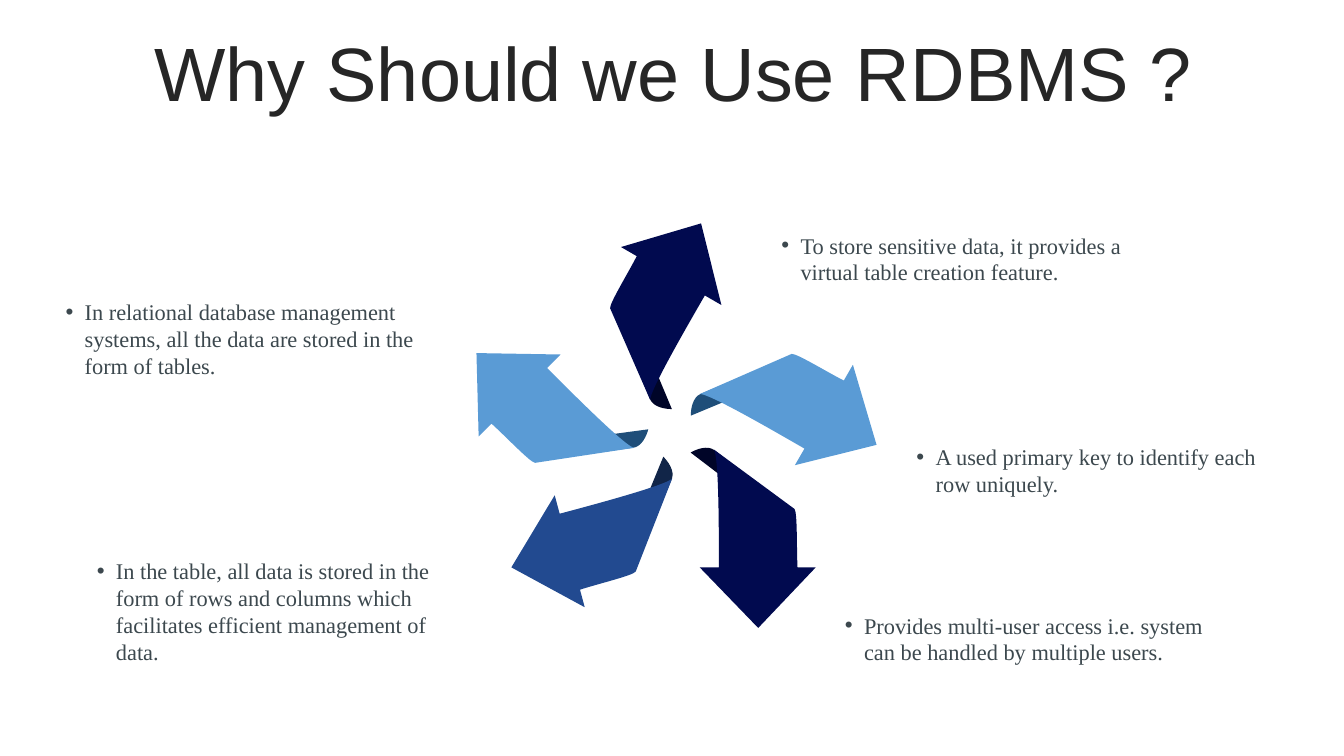
import math
import pptx
import pptx.util
import pptx.dml.color
import pptx.enum.text
import lxml.etree
from pptx.util import Inches

COLORS = {
    "title": "262626", "text": "3C484E",
    "navy": "010A4F", "navy fold": "000528",
    "sky": "5A9BD5", "sky fold": "1F4E79",
    "royal": "224A90", "royal fold": "112548",
}
ARROW_WIDTH, ARROW_HEIGHT = 1.15, 1.77
FOLD = [(0.15, 0.01), (0.08, -0.05), (-0.04, 0), (-0.09, 0.03), (0.71, 0.64), (0.92, 0.6)]
BLADE = [(0.14, 0), (0.94, 0.59), (0.97, 0.63), (0.96, 0.98), (0.97, 1.17), (1.15, 1.17),
         (0.58, 1.77), (0, 1.17), (0.19, 1.17), (0.19, 0.79), (0.19, 0.07), (0.14, 0)]
FOLD_CURVES = [1]
BLADE_CURVES = [2, 9]
ARROWS = [
    (5.94, 2.1, 210, "navy"),
    (7.35, 3.09, 300, "sky"),
    (6.94, 4.46, 0, "navy"),
    (5.35, 4.51, 75, "royal"),
    (4.78, 3.24, 135, "sky"),
]
REASONS = [
    (7.75, 2.25, 3.77, 0.64, "To store sensitive data, it provides a virtual table creation feature."),
    (9.09, 4.35, 3.63, 0.64, "A used primary key to identify each row uniquely."),
    (0.65, 2.91, 3.82, 0.91, "In relational database management systems, all the data are stored in the form of tables."),
    (0.96, 5.48, 3.82, 1.18, "In the table, all data is stored in the form of rows and columns which "
                             "facilitates efficient management of data."),
    (8.38, 6.02, 3.77, 0.64, "Provides multi-user access i.e. system can be handled by multiple users."),
]

presentation = pptx.Presentation()
presentation.slide_width = Inches(13.33)
presentation.slide_height = Inches(7.5)
slide = presentation.slides.add_slide(presentation.slide_layouts[5])


def write_text(shape, text, *, size, font, color, align, line_spacing=1, space_before=0, bullet=False):
    shape.text_frame.word_wrap = True
    paragraph = shape.text_frame.paragraphs[0]
    paragraph.alignment = align
    paragraph.line_spacing = line_spacing
    paragraph.space_before = pptx.util.Pt(space_before)
    run = paragraph.add_run()
    run.text = text
    run.font.size = pptx.util.Pt(size)
    run.font.name = font
    run.font.color.rgb = pptx.dml.color.RGBColor.from_string(color)
    if bullet:
        properties = paragraph._p.get_or_add_pPr()
        properties.set("marL", str(Inches(0.19)))
        properties.set("indent", str(-Inches(0.19)))
        bullet_font = lxml.etree.SubElement(properties, pptx.oxml.ns.qn("a:buFont"))
        bullet_font.set("typeface", "Arial")
        lxml.etree.SubElement(properties, pptx.oxml.ns.qn("a:buChar")).set("char", "•")


def draw_ribbon(points, curves, left, top, rotation, color):
    corners = [(Inches(x), Inches(y)) for x, y in points]
    builder = slide.shapes.build_freeform(*corners[0])
    builder.add_line_segments(corners[1:], close=True)
    shape = builder.convert_to_shape()
    segments = list(shape._element.iter(pptx.oxml.ns.qn("a:lnTo")))
    for first in curves:
        curve = lxml.etree.Element(pptx.oxml.ns.qn("a:cubicBezTo"))
        segments[first - 1].addprevious(curve)
        for segment in segments[first - 1:first + 2]:
            curve.append(segment[0])
            segment.getparent().remove(segment)
    columns, rows = zip(*points)
    offset_x = (min(columns) + max(columns) - ARROW_WIDTH) / 2
    offset_y = (min(rows) + max(rows) - ARROW_HEIGHT) / 2
    cosine, sine = math.cos(math.radians(rotation)), math.sin(math.radians(rotation))
    center_x = left + ARROW_WIDTH / 2 + offset_x * cosine - offset_y * sine
    center_y = top + ARROW_HEIGHT / 2 + offset_x * sine + offset_y * cosine
    shape.left = Inches(center_x) - shape.width // 2
    shape.top = Inches(center_y) - shape.height // 2
    shape.rotation = rotation
    shape.shadow.inherit = False
    shape.fill.solid()
    shape.fill.fore_color.rgb = pptx.dml.color.RGBColor.from_string(color)
    shape.line.fill.background()


title = slide.shapes.title
title.left, title.top, title.width, title.height = map(Inches, (0.35, 0.37, 12.66, 0.79))
title.text_frame.auto_size = pptx.enum.text.MSO_AUTO_SIZE.NONE
title.text_frame.vertical_anchor = pptx.enum.text.MSO_ANCHOR.MIDDLE
write_text(title, "Why Should we Use RDBMS ?", size=54, font="Arial", color=COLORS["title"],
           align=pptx.enum.text.PP_ALIGN.CENTER, line_spacing=0.9, space_before=10)

for left, top, rotation, color in ARROWS:
    draw_ribbon(FOLD, FOLD_CURVES, left, top, rotation, COLORS[color + " fold"])
    draw_ribbon(BLADE, BLADE_CURVES, left, top, rotation, COLORS[color])

for left, top, width, height, reason in REASONS:
    box = slide.shapes.add_textbox(*map(Inches, (left, top, width, height)))
    box.text_frame.margin_left = 0
    box.text_frame.auto_size = pptx.enum.text.MSO_AUTO_SIZE.SHAPE_TO_FIT_TEXT
    write_text(box, reason, size=16, font="Times New Roman", color=COLORS["text"],
               align=pptx.enum.text.PP_ALIGN.LEFT, bullet=True)

presentation.save("out.pptx")
